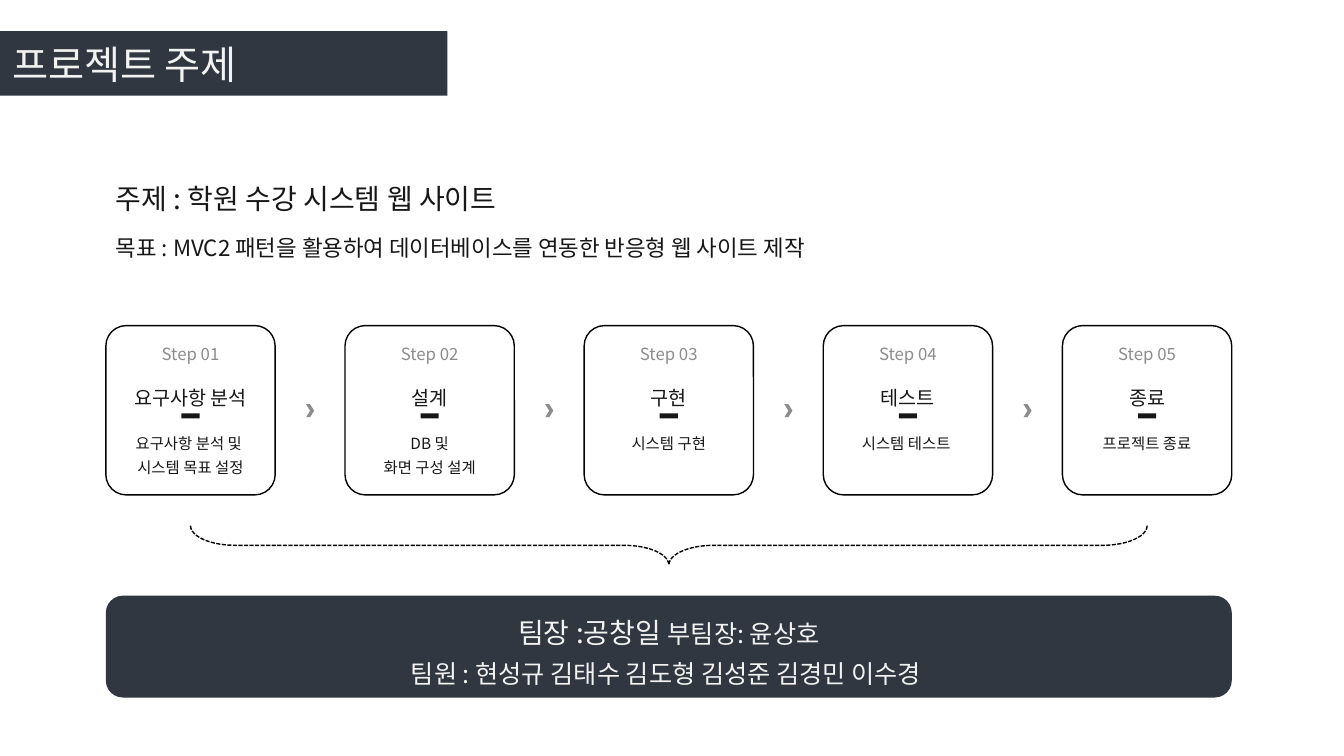
from dataclasses import dataclass

import pptx
import pptx.dml.color
import pptx.enum.dml
import pptx.enum.shapes
import pptx.enum.text
import pptx.oxml
import pptx.oxml.ns
import pptx.util

RGBColor = pptx.dml.color.RGBColor
SHAPE = pptx.enum.shapes.MSO_SHAPE
ALIGN = pptx.enum.text.PP_ALIGN
ANCHOR = pptx.enum.text.MSO_ANCHOR

SLATE = RGBColor(0x30, 0x37, 0x40)
INK = RGBColor(0x18, 0x17, 0x17)
GRAY = RGBColor(0x8C, 0x8C, 0x8C)
PALE = RGBColor(0xF2, 0xF2, 0xF2)
BLACK = RGBColor(0, 0, 0)
FONT = "Noto Sans CJK KR"

# Grid: 160 columns by 90 rows over the whole slide
WIDTH, HEIGHT = pptx.util.Inches(13.333), pptx.util.Inches(7.5)
COL, ROW = WIDTH / 160, HEIGHT / 90
MARGIN, CONTENT = 12.6, 134.04
CARD, CARD_TOP = 20.16, 38.76


@dataclass
class Box:
    x: float
    y: float
    w: float
    h: float

    def emu(self) -> list[int]:
        return [round(self.x * COL), round(self.y * ROW),
                round(self.w * COL), round(self.h * ROW)]


@dataclass
class Run:
    text: str
    size: float
    color: RGBColor = INK


@dataclass
class Step:
    name: str
    details: list[str]


STEPS = [
    Step("요구사항 분석", ["요구사항 분석 및 ", "시스템 목표 설정"]),
    Step("설계", [" DB 및 ", "화면 구성 설계"]),
    Step("구현", ["시스템 구현"]),
    Step("테스트", ["시스템 테스트 "]),
    Step("종료", ["프로젝트 종료"]),
]
PITCH = (CONTENT - CARD) / (len(STEPS) - 1)


def centred(middle: float, y: float, w: float, h: float) -> Box:
    return Box(middle - w / 2, y, w, h)


def write(tf, lines: list[list[Run]], align=ALIGN.LEFT, spacing: float = 1.0) -> None:
    tf.word_wrap = True
    for i, line in enumerate(lines):
        p = tf.paragraphs[0] if i == 0 else tf.add_paragraph()
        p.alignment, p.line_spacing = align, spacing
        for run in line:
            r = p.add_run()
            r.text = run.text
            r.font.name, r.font.size = FONT, pptx.util.Pt(run.size)
            r.font.color.rgb = run.color
            # Korean glyphs take the East Asian typeface
            ea = pptx.oxml.parse_xml(f'<a:ea {pptx.oxml.ns.nsdecls("a")} typeface="{FONT}"/>')
            r.font._element.find(pptx.oxml.ns.qn("a:latin")).addnext(ea)


def add_text(s, box: Box, lines: list[list[Run]], align=ALIGN.LEFT, spacing: float = 1.0) -> None:
    tf = s.shapes.add_textbox(*box.emu()).text_frame
    write(tf, lines, align, spacing)
    tf.auto_size = pptx.enum.text.MSO_AUTO_SIZE.SHAPE_TO_FIT_TEXT


def add_filled(s, kind, box: Box, color: RGBColor):
    sp = s.shapes.add_shape(kind, *box.emu())
    sp.shadow.inherit = False
    sp.fill.solid()
    sp.fill.fore_color.rgb = color
    sp.line.fill.background()
    sp.text_frame.vertical_anchor = ANCHOR.MIDDLE
    return sp


def add_outlined(s, kind, box: Box):
    sp = s.shapes.add_shape(kind, *box.emu())
    sp.shadow.inherit = False
    sp.fill.background()
    sp.line.color.rgb = BLACK
    sp.line.width = pptx.util.Pt(1)
    return sp


def add_step(s, index: int, step: Step) -> None:
    left = MARGIN + index * PITCH
    middle = left + CARD / 2
    card = add_outlined(s, SHAPE.ROUNDED_RECTANGLE, Box(left, CARD_TOP, CARD, CARD))
    card.adjustments[0] = 0.12
    add_text(s, centred(middle, 40.32, 16.56, 3.6),
             [[Run(f"Step {index + 1:02}", 12, GRAY)]], ALIGN.CENTER)
    add_text(s, Box(left, 44.52, CARD, 4.92), [[Run(step.name, 14)]], ALIGN.CENTER, 1.3)
    add_text(s, Box(left, 50.4, CARD, 1.2 + 2.88 * len(step.details)),
             [[Run(text, 11)] for text in step.details], ALIGN.CENTER, 1.3)
    add_filled(s, SHAPE.RECTANGLE, centred(middle, 49.2, 2.16, 0.6), INK)


def main() -> None:
    prs = pptx.Presentation()
    prs.slide_width, prs.slide_height = WIDTH, HEIGHT
    s = prs.slides.add_slide(prs.slide_layouts[6])

    # Title band
    title = add_filled(s, SHAPE.RECTANGLE, Box(0, 3.72, 53.28, 7.68), SLATE)
    title.text_frame.margin_left = pptx.util.Inches(0.12)
    write(title.text_frame, [[Run("프로젝트 주제", 28, PALE)]])

    # Topic and goal
    add_text(s, Box(MARGIN, 21, 57.6, 5.28), [[Run("주제 : 학원 수강 시스템 웹 사이트", 20)]])
    goal = "목표 : MVC2 패턴을 활용하여 데이터베이스를 연동한 반응형 웹 사이트 제작"
    add_text(s, Box(MARGIN, 26.28, CONTENT, 5.16), [[Run(goal, 16)]], spacing=1.3)

    # Step cards with a chevron in each gap
    for i, step in enumerate(STEPS):
        add_step(s, i, step)
        if i:
            gap_middle = MARGIN + i * PITCH - (PITCH - CARD) / 2
            add_filled(s, SHAPE.CHEVRON, centred(gap_middle, 48.12, 0.96, 1.56), GRAY)

    # Brace from the first card's middle to the last one's
    span = PITCH * (len(STEPS) - 1)
    brace = add_outlined(s, SHAPE.RIGHT_BRACE,
                         centred(MARGIN + CONTENT / 2, 64.92 - span / 2, 4.68, span))
    brace.rotation = 90
    brace.adjustments[0], brace.adjustments[1] = 1.14, 0.5
    brace.line.dash_style = pptx.enum.dml.MSO_LINE.SQUARE_DOT

    # Team panel
    team = add_filled(s, SHAPE.ROUNDED_RECTANGLE, Box(MARGIN, 70.92, CONTENT, 12.12), SLATE)
    write(team.text_frame, [
        [Run("팀장 :공창일 ", 20, PALE), Run("부팀장: 윤상호", 18, PALE)],
        [Run("팀원 : 현성규 김태수 김도형 김성준 김경민 이수경 ", 18, PALE)],
    ], ALIGN.CENTER, 1.3)

    prs.save("out.pptx")


if __name__ == "__main__":
    main()
